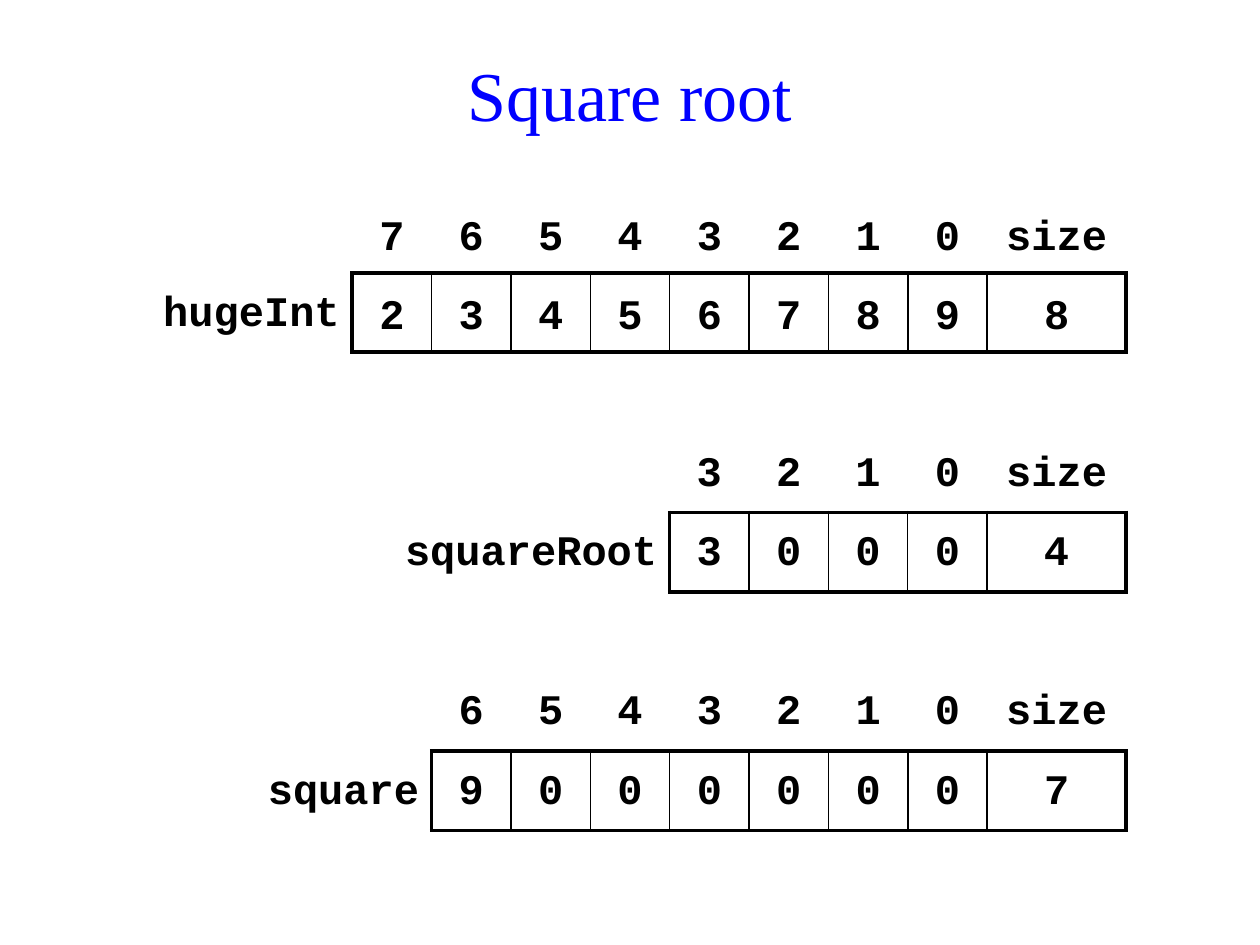
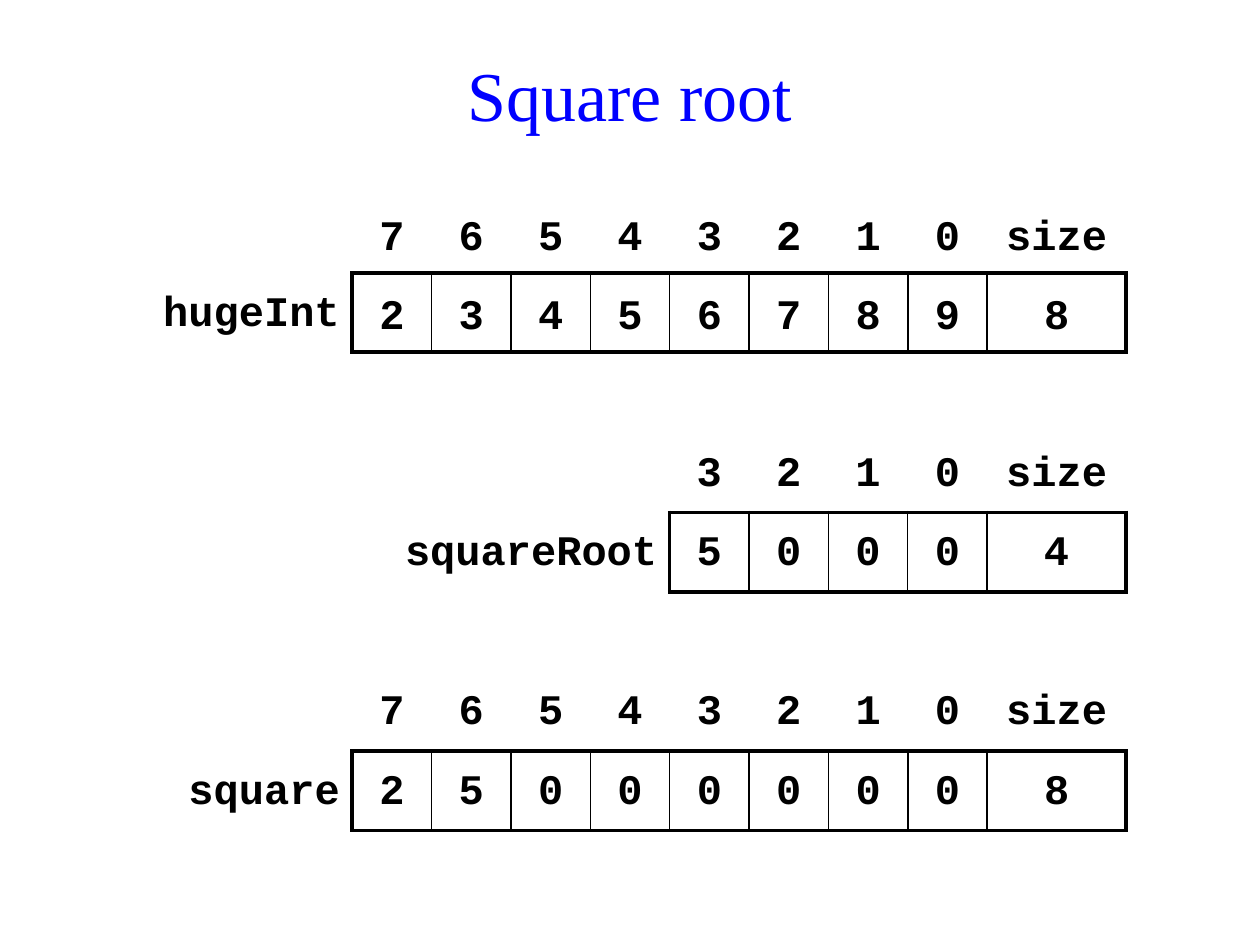
"""Build two slides that trace a digit-by-digit square root with digit arrays."""
from lxml import etree
from pptx import Presentation
from pptx.dml.color import RGBColor
from pptx.enum.text import MSO_ANCHOR, PP_ALIGN
from pptx.oxml.ns import qn
from pptx.util import Cm, Pt

TOP, MIDDLE = MSO_ANCHOR.TOP, MSO_ANCHOR.MIDDLE
CENTER, RIGHT = PP_ALIGN.CENTER, PP_ALIGN.RIGHT

THEME = {
    "title": {
        "color": "0000FF",
        "font": {"name": "Times New Roman", "size": Pt(40), "bold": False},
        "paragraph": {"line_spacing": 1.0},
    },
    "array": {
        "color": "000000",
        "font": {"name": "Courier New", "size": Pt(24), "bold": True},
        "paragraph": {"line_spacing": 1.25},
    },
    "border": "000000",
    "thick": Pt(2.25),
    "thin": Pt(1),
}
NO_STYLE_NO_GRID = "{2D5ABB26-0587-4C30-8999-92F81FD0307C}"
TABLE_FLAGS = {"first_row": False, "horz_banding": False}

DIGIT_WIDTH, SIZE_WIDTH, ROW_HEIGHT = Cm(1.6), Cm(2.8), Cm(1.6)
ARRAYS_RIGHT = Cm(22.7)
ARRAY_ROWS = [
    ("hugeInt", Cm(4.4), Cm(3.9), MIDDLE),
    ("squareRoot", Cm(5.6), Cm(8.73), TOP),
    ("square", Cm(3.6), Cm(13.54), TOP),
]
STEPS = [
    ("23456789", "3000", "9000000"),
    ("23456789", "5000", "25000000"),
]


def write(paragraph, text, style, alignment):
    paragraph.alignment = alignment
    run = paragraph.add_run()
    run.text = text
    run.font.color.rgb = RGBColor.from_string(style["color"])
    for target, values in ((paragraph, style["paragraph"]), (run.font, style["font"])):
        for attribute, value in values.items():
            setattr(target, attribute, value)


def draw_borders(cell, widths):
    properties = cell._tc.get_or_add_tcPr()
    for side in "LRTB":
        if side in widths:
            line = etree.SubElement(properties, qn(f"a:ln{side}"), w=str(widths[side]))
            fill = etree.SubElement(line, qn("a:solidFill"))
            etree.SubElement(fill, qn("a:srgbClr"), val=THEME["border"])


presentation = Presentation()
presentation.slide_width, presentation.slide_height = Cm(25.4), Cm(19.05)
blank = presentation.slide_layouts[6]
thick, thin = THEME["thick"], THEME["thin"]

for numbers in STEPS:
    slide = presentation.slides.add_slide(blank)
    heading = slide.shapes.add_textbox(Cm(1.5), Cm(0.71), Cm(22.4), Cm(2.36)).text_frame
    heading.word_wrap = True
    heading.vertical_anchor = MIDDLE
    write(heading.paragraphs[0], "Square root", THEME["title"], CENTER)

    for (label, label_width, top, anchor), digits in zip(ARRAY_ROWS, numbers):
        count = len(digits)
        widths = [label_width] + [DIGIT_WIDTH] * count + [SIZE_WIDTH]
        indexes = ["", *map(str, reversed(range(count))), "size"]
        values = [label, *digits, str(count)]
        last = len(widths) - 1

        frame = slide.shapes.add_table(
            2, len(widths), ARRAYS_RIGHT - sum(widths), top, sum(widths), 2 * ROW_HEIGHT
        )
        array = frame.table
        for flag, state in TABLE_FLAGS.items():
            setattr(array, flag, state)
        array._tbl.tblPr.find(qn("a:tableStyleId")).text = NO_STYLE_NO_GRID
        for row in array.rows:
            row.height = ROW_HEIGHT

        for column, width in enumerate(widths):
            array.columns[column].width = width
            if column == 0:
                header_borders, value_borders = {}, {"R": thick}
            else:
                header_borders = {"B": thick}
                value_borders = {
                    "L": thick if column == 1 else thin,
                    "R": thick if column == last else thin,
                    "T": thick,
                    "B": thick,
                }
            for row, text, borders in (
                (0, indexes[column], header_borders),
                (1, values[column], value_borders),
            ):
                cell = array.cell(row, column)
                cell.vertical_anchor = anchor if column else TOP
                draw_borders(cell, borders)
                cell.fill.background()
                if text:
                    alignment = CENTER if column else RIGHT
                    write(cell.text_frame.paragraphs[0], text, THEME["array"], alignment)

presentation.save("out.pptx")
